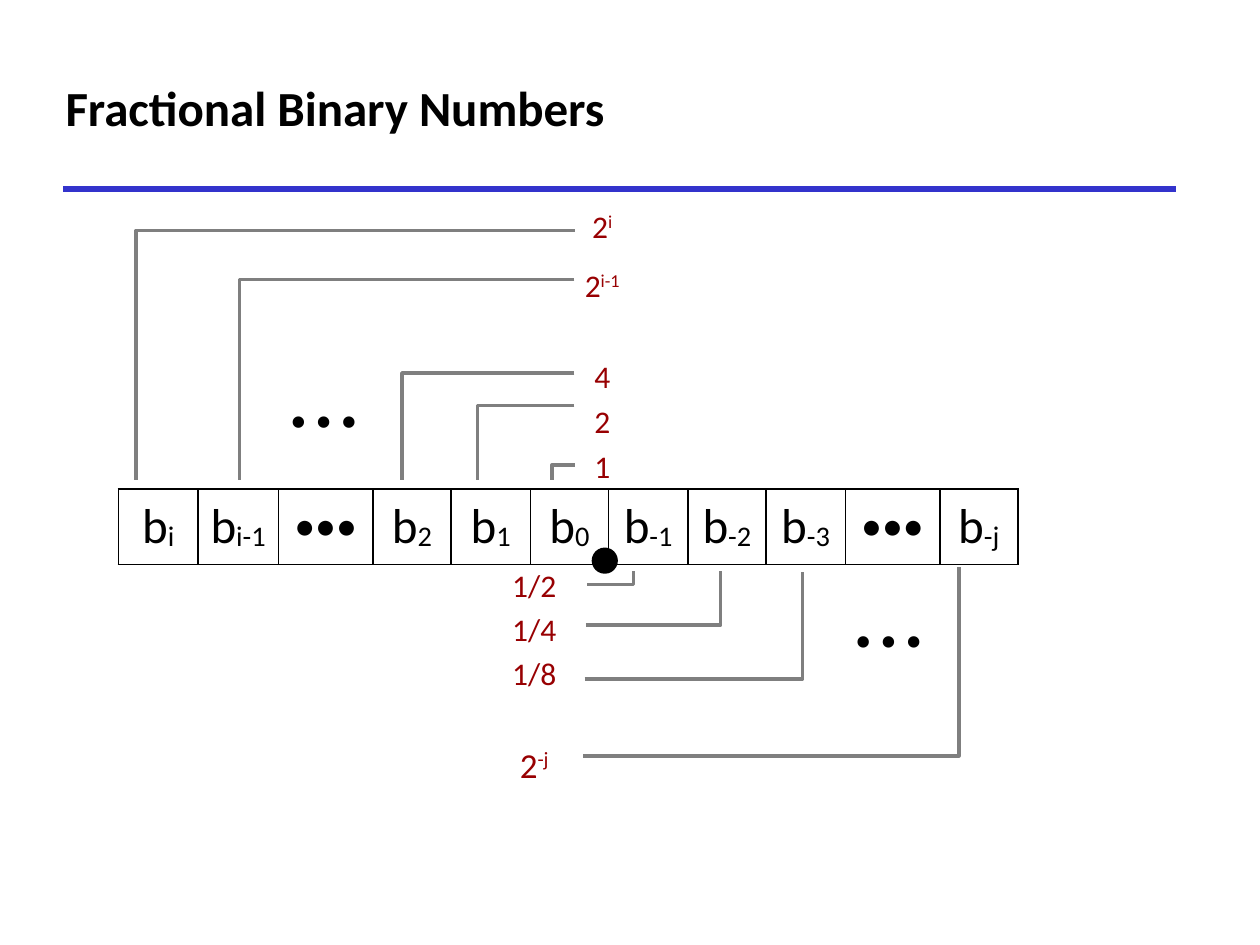
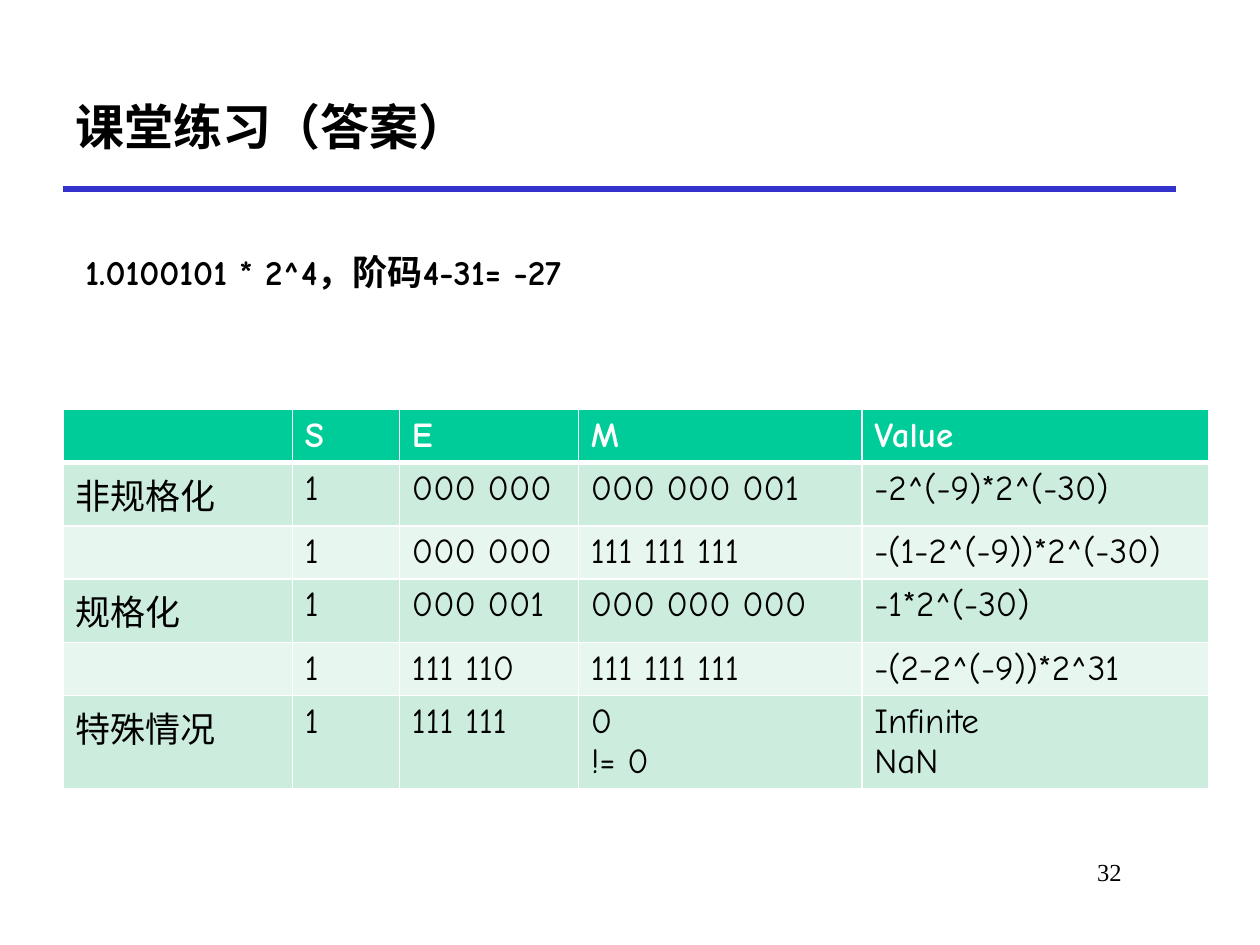
from lxml import etree
from pptx import Presentation, util as u
from pptx.dml.color import RGBColor
from pptx.enum import dml, shapes, text
from pptx.oxml import ns

PX = 9144  # EMU per px, 100 px to the inch
BLACK = RGBColor(0x00, 0x00, 0x00)
WHITE = RGBColor(0xFF, 0xFF, 0xFF)
BLUE = RGBColor(0x33, 0x33, 0xCC)
RED = RGBColor(0x98, 0x00, 0x02)
GREY = RGBColor(0x7F, 0x7F, 0x7F)
GREEN = RGBColor(0x00, 0xCC, 0x99)
BAND_DARK = RGBColor(0xCC, 0xEC, 0xDE)
BAND_LIGHT = RGBColor(0xE7, 0xF6, 0xEF)
CALIBRI, COMIC, TIMES = "Calibri", "Comic Neue", "Times New Roman"
DOTS = "•••"


def px(*lengths):
    return [u.Emu(n * PX) for n in lengths]


def add_run(p, words, font, size, color=BLACK, bold=False, baseline=0):
    """Baseline is the rise of a superscript, or fall of a subscript, in percent."""
    r = p.add_run()
    r.text = words
    r.font.name, r.font.size, r.font.bold = font, u.Pt(size), bold
    r.font.color.rgb = color
    if baseline:
        r.font._element.set("baseline", str(baseline * 1000))


def set_margins(target, margin):
    for side in ("left", "top", "right", "bottom"):
        setattr(target, f"margin_{side}", px(margin)[0])


def add_titled_slide(prs, title, font, box, hanging=0):
    s = prs.slides.add_slide(prs.slide_layouts[5])
    rule = s.shapes.add_connector(shapes.MSO_CONNECTOR.STRAIGHT, *px(50, 150, 933, 150))
    rule.line.color.rgb, rule.line.width = BLUE, u.Pt(3)
    etree.SubElement(rule._element.spPr, ns.qn("a:effectLst"))
    sp = s.shapes.title
    sp.left, sp.top, sp.width, sp.height = px(*box)
    tf = sp.text_frame
    tf.auto_size = text.MSO_AUTO_SIZE.NONE
    tf.vertical_anchor = text.MSO_ANCHOR.MIDDLE
    p = tf.paragraphs[0]
    p.alignment = text.PP_ALIGN.LEFT
    if hanging:
        pPr = p._p.get_or_add_pPr()
        pPr.set("marL", str(hanging * PX))
        pPr.set("indent", str(-hanging * PX))
    add_run(p, title, font, 28, bold=True)
    return s


def set_borders(cell, color, bottom=1):
    tcPr = cell._tc.get_or_add_tcPr()
    for i, (side, width) in enumerate(zip("LRTB", (1, 1, 1, bottom))):
        ln = etree.Element(ns.qn(f"a:ln{side}"), w=str(u.Pt(width)))
        fill = etree.SubElement(ln, ns.qn("a:solidFill"))
        etree.SubElement(fill, ns.qn("a:srgbClr"), val=str(color))
        tcPr.insert(i, ln)


def add_plain_table(s, left, top, widths, heights):
    frame = s.shapes.add_table(len(heights), len(widths),
                               *px(left, top, sum(widths), sum(heights)))
    table = frame.table
    table.first_row = table.horz_banding = False
    for column, width in zip(table.columns, widths):
        column.width = px(width)[0]
    for row, height in zip(table.rows, heights):
        row.height = px(height)[0]
    return table


def fill_script_cell(cell, words, size, color, baseline, margin, border):
    """Words after "|" are raised or lowered by the baseline."""
    set_margins(cell, margin)
    cell.vertical_anchor = text.MSO_ANCHOR.MIDDLE
    cell.fill.background()
    set_borders(cell, border)
    p = cell.text_frame.paragraphs[0]
    p.alignment = text.PP_ALIGN.CENTER
    base, _, script = words.partition("|")
    if base:
        add_run(p, base, CALIBRI, size, color)
    if script:
        add_run(p, script, CALIBRI, size, color, baseline=baseline)


def add_weights(s, left, top, width, rows):
    """A column of place values; rows are (words, size, height)."""
    table = add_plain_table(s, left, top, [width], [height for *_, height in rows])
    for i, (words, size, _) in enumerate(rows):
        fill_script_cell(table.cell(i, 0), words, size, RED, 32, 0, WHITE)


def add_bits(s, left, top, height, bits):
    table = add_plain_table(s, left, top, [width for _, width in bits], [height])
    for i, (words, _) in enumerate(bits):
        size = 24 if words == DOTS else 28
        fill_script_cell(table.cell(0, i), words, size, BLACK, -6, 6, BLACK)


def add_elbow(s, label_x, label_y, bit_x, bit_y):
    """A bent line from a place value across and then to its bit."""
    builder = s.shapes.build_freeform(label_x, label_y, scale=PX)
    builder.add_line_segments([(bit_x, label_y), (bit_x, bit_y)], close=False)
    sp = builder.convert_to_shape()
    sp.shadow.inherit = False
    sp.fill.background()
    sp.line.color.rgb, sp.line.width = GREY, u.Pt(2)


def add_preset(s, kind, box, color):
    sp = s.shapes.add_shape(kind, *px(*box))
    sp.shadow.inherit = False
    sp.fill.solid()
    sp.fill.fore_color.rgb = color
    sp.line.fill.background()
    return sp


def add_ellipsis(s, left, top, rotation=0):
    sp = add_preset(s, shapes.MSO_SHAPE.RECTANGLE, (left, top, 61, 58), WHITE)
    sp.rotation = rotation
    tf = sp.text_frame
    tf.word_wrap = False
    tf.vertical_anchor = text.MSO_ANCHOR.MIDDLE
    set_margins(tf, 4)
    p = tf.paragraphs[0]
    p.alignment = text.PP_ALIGN.LEFT
    add_run(p, "• • •", TIMES, 24, bold=True)


def add_text(s, box, words, font, size, bold=False, align=text.PP_ALIGN.LEFT, wrap=True):
    tf = s.shapes.add_textbox(*px(*box)).text_frame
    tf.word_wrap = wrap
    if not wrap:
        tf.auto_size = text.MSO_AUTO_SIZE.SHAPE_TO_FIT_TEXT
    p = tf.paragraphs[0]
    p.alignment = align
    add_run(p, words, font, size, bold=bold)


def add_banded_table(s, left, top, widths, row_height, rows):
    table = add_plain_table(s, left, top, widths, [row_height] * len(rows))
    for i, row in enumerate(rows):
        header = i == 0
        fill = GREEN if header else BAND_DARK if i % 2 else BAND_LIGHT
        for j, words in enumerate(row):
            cell = table.cell(i, j)
            cell.fill.solid()
            cell.fill.fore_color.rgb = fill
            set_borders(cell, WHITE, bottom=3 if header else 1)
            tf = cell.text_frame
            for k, line in enumerate(words.split("\n") if words else []):
                p = tf.add_paragraph() if k else tf.paragraphs[0]
                add_run(p, line, COMIC, 20, WHITE if header else BLACK, header)


def add_fraction_slide(prs):
    s = add_titled_slide(prs, "Fractional Binary Numbers", CALIBRI, (42, 0, 751, 170), hanging=9)
    add_weights(s, 446, 157, 64, [("2|i", 18, 47), ("2|i-1", 18, 47), ("", 18, 29),
                                  ("4", 18, 36), ("2", 18, 36), ("1", 18, 36)])
    add_weights(s, 388, 448, 72, [("1/2", 18, 35), ("1/4", 18, 35), ("1/8", 18, 35),
                                  ("", 18, 22), ("2|-j", 20, 49)])
    add_bits(s, 94, 388, 60, [("b|i", 63), ("b|i-1", 64), (DOTS, 75), ("b|2", 62),
                              ("b|1", 63), ("b|0", 62), ("b|-1", 63), ("b|-2", 62),
                              ("b|-3", 63), (DOTS, 75), ("b|-j", 62)])
    add_ellipsis(s, 674, 483, rotation=180)
    for bit_x, label_y in ((438, 369), (379, 322), (319, 296), (190, 222), (108, 183)):
        add_elbow(s, 456, label_y, bit_x, 381)
    add_ellipsis(s, 227, 304)
    for label_x, label_y, bit_x, bit_y in ((466, 464, 503, 453), (465, 496, 572, 453),
                                           (464, 539, 637, 454), (463, 600, 761, 450)):
        add_elbow(s, label_x, label_y, bit_x, bit_y)
    point = add_preset(s, shapes.MSO_SHAPE.OVAL, (471, 436, 18, 18), BLACK)
    point.line.color.rgb, point.line.width = BLACK, u.Pt(2)
    point.line.dash_style = dml.MSO_LINE.SOLID


def add_answer_slide(prs):
    s = add_titled_slide(prs, "课堂练习（答案）", COMIC, (50, 50, 883, 100))
    add_banded_table(s, 50, 325, [182, 85, 142, 225, 275], 41, [
        ("", "S", "E", "M", "Value"),
        ("非规格化", "1", "000 000", "000 000 001", "-2^(-9)*2^(-30)"),
        ("", "1", "000 000", "111 111 111", "-(1-2^(-9))*2^(-30)"),
        ("规格化", "1", "000 001", "000 000 000", "-1*2^(-30)"),
        ("", "1", "111 110", "111 111 111", "-(2-2^(-9))*2^31"),
        ("特殊情况", "1", "111 111", "0\n!= 0", "Infinite\nNaN"),
    ])
    add_text(s, (758, 675, 142, 50), "32", TIMES, 14, align=text.PP_ALIGN.RIGHT)
    add_text(s, (58, 194, 494, 44), "1.0100101 * 2^4，阶码4-31= -27", COMIC, 20,
             bold=True, wrap=False)


def main():
    prs = Presentation()
    prs.slide_width, prs.slide_height = px(1000, 750)
    add_fraction_slide(prs)
    add_answer_slide(prs)
    prs.save("out.pptx")


if __name__ == "__main__":
    main()
